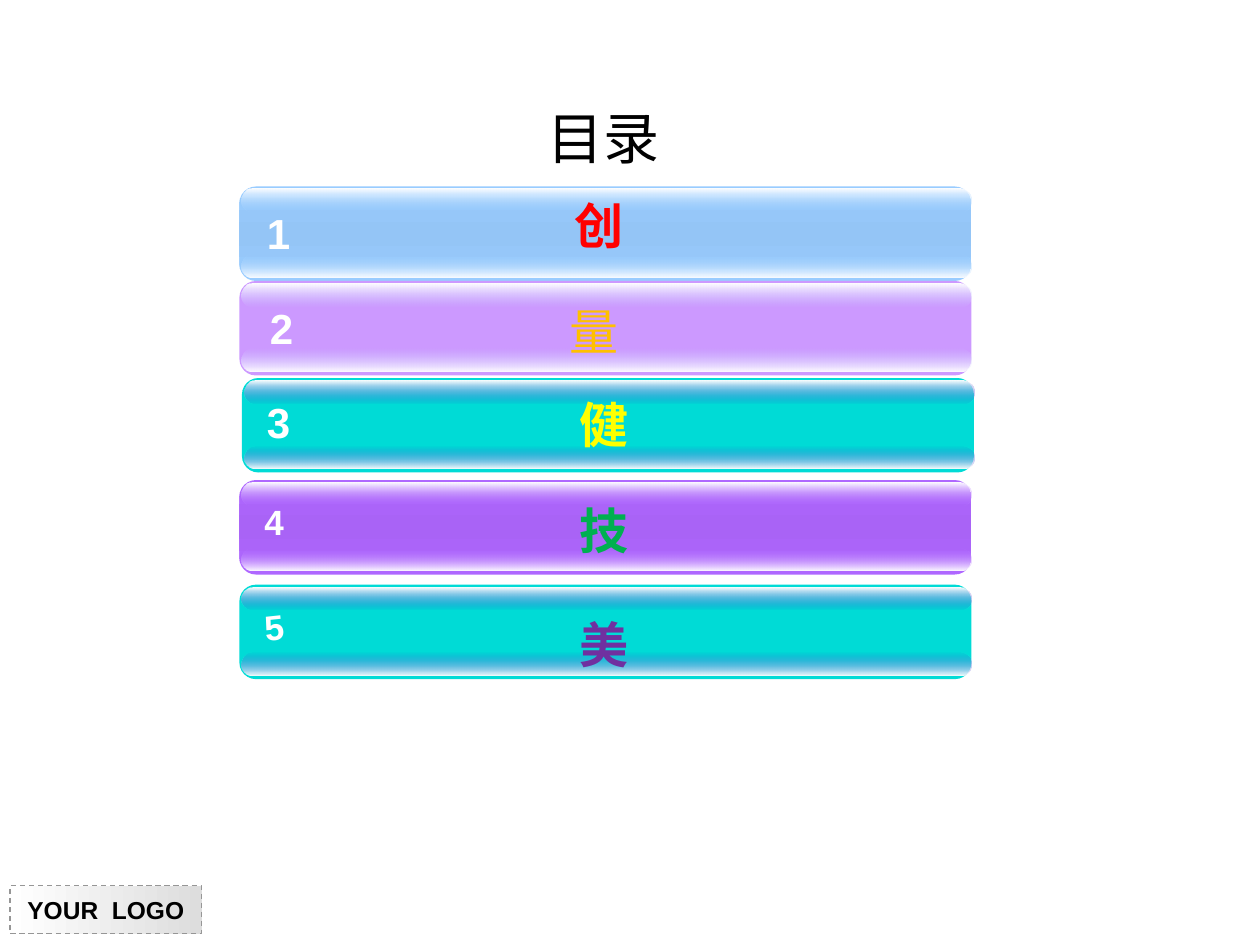
from typing import NamedTuple, Optional

from lxml.etree import SubElement
from pptx import Presentation
from pptx.dml.color import RGBColor
from pptx.enum.dml import MSO_LINE
from pptx.enum.shapes import MSO_SHAPE as Shape
from pptx.enum.text import MSO_ANCHOR as Anchor, PP_ALIGN as Align
from pptx.oxml import parse_xml
from pptx.oxml.ns import nsdecls, qn
from pptx.util import Inches, Pt

LATIN = "Arial"
CHINESE = "Noto Sans CJK SC"

BLACK = RGBColor(0x00, 0x00, 0x00)
WHITE = RGBColor(0xFF, 0xFF, 0xFF)
SILVER = RGBColor(0xDD, 0xDD, 0xDD)
GREY = RGBColor(0x96, 0x96, 0x96)
SKY = RGBColor(0x99, 0xCC, 0xFF)
SKY_MIDDLE = RGBColor(0x94, 0xC5, 0xF6)
LILAC = RGBColor(0xCC, 0x99, 0xFF)
LILAC_GLOSS = RGBColor(0xCC, 0xCC, 0xFF)
TURQUOISE = RGBColor(0x00, 0xDB, 0xD6)
INDIGO = RGBColor(0x33, 0x33, 0xCC)
VIOLET = RGBColor(0xAF, 0x67, 0xFF)
VIOLET_MIDDLE = RGBColor(0xA9, 0x63, 0xF6)
RED = RGBColor(0xFF, 0x00, 0x00)
AMBER = RGBColor(0xFF, 0xC0, 0x00)
YELLOW = RGBColor(0xFF, 0xFF, 0x00)
GREEN = RGBColor(0x00, 0xB0, 0x50)
PURPLE = RGBColor(0x70, 0x30, 0xA0)

BAR_WIDTH, BAR_HEIGHT = 5.81, 0.75
GLOSS_WIDTH, GLOSS_HEIGHT = 5.79, 0.18
GLOSS_INSET, LOWER_GLOSS = 0.02, 0.54


class Area(NamedTuple):
    left: float
    top: float
    width: float
    height: float

    def lengths(self) -> list:
        return [Inches(value) for value in self]


class Stop(NamedTuple):
    position: int
    color: RGBColor
    alpha: int = 100


class Bar(NamedTuple):
    left: float
    top: float
    color: RGBColor
    gloss: RGBColor
    middle: Optional[RGBColor] = None


class Label(NamedTuple):
    text: str
    area: Area
    size: int
    color: RGBColor = WHITE
    font: str = LATIN
    bold: bool = True
    align: Align = Align.LEFT
    anchor: Anchor = Anchor.TOP
    wrap: bool = True
    rotation: int = 0


BARS = [
    Bar(1.9, 1.48, SKY, SKY, SKY_MIDDLE),
    Bar(1.9, 2.23, LILAC, LILAC_GLOSS),
    Bar(1.92, 3, TURQUOISE, INDIGO),
    Bar(1.9, 3.81, VIOLET, VIOLET, VIOLET_MIDDLE),
    Bar(1.9, 4.64, TURQUOISE, INDIGO),
]

LABELS = [
    Label("目录", Area(2.25, 0.75, 5.08, 0.68), 32, BLACK, CHINESE, False,
          Align.CENTER, Anchor.MIDDLE),
    Label("1", Area(2, 1.6, 0.42, 0.5), 24, align=Align.CENTER),
    Label("2", Area(2, 2.35, 0.47, 0.5), 24, align=Align.CENTER),
    Label("3", Area(2, 3.1, 0.42, 0.5), 24, align=Align.CENTER),
    Label("4", Area(2, 3.92, 0.35, 0.43), 20, wrap=False),
    Label("5", Area(2, 4.76, 0.35, 0.43), 20, wrap=False, rotation=354),
    Label("创", Area(2.29, 1.5, 4.92, 0.57), 28, RED, CHINESE, align=Align.CENTER),
    Label("量", Area(2.74, 2.34, 3.95, 0.57), 28, AMBER, CHINESE, False, Align.CENTER),
    Label("健", Area(4.5, 3.08, 0.79, 0.57), 28, YELLOW, CHINESE),
    Label("技", Area(4.5, 3.92, 0.85, 0.57), 28, GREEN, CHINESE),
    Label("美", Area(4.5, 4.83, 1.04, 0.57), 28, PURPLE, CHINESE),
]


def fill_gradient(shape, stops: list[Stop], angle: int) -> None:
    marks = "".join(
        f'<a:gs pos="{stop.position * 1000}"><a:srgbClr val="{stop.color}">'
        f'<a:alpha val="{stop.alpha * 1000}"/></a:srgbClr></a:gs>'
        for stop in stops
    )
    gradient = parse_xml(
        f'<a:gradFill {nsdecls("a")} rotWithShape="1"><a:gsLst>{marks}</a:gsLst>'
        f'<a:lin ang="{angle * 60000}" scaled="0"/></a:gradFill>'
    )
    shape.fill.background()
    properties = shape.element.spPr
    properties.replace(properties.find(qn("a:noFill")), gradient)


def add_rounded(shapes, area: Area, rounding: float):
    shape = shapes.add_shape(Shape.ROUNDED_RECTANGLE, *area.lengths())
    shape.adjustments[0] = rounding
    shape.shadow.inherit = False
    shape.line.fill.background()
    return shape


def add_bar(page, bar: Bar) -> None:
    shapes = page.shapes.add_group_shape().shapes
    body = add_rounded(shapes, Area(bar.left, bar.top, BAR_WIDTH, BAR_HEIGHT), 0.175)
    if bar.middle is None:
        body.fill.solid()
        body.fill.fore_color.rgb = bar.color
    else:
        fill_gradient(body, [Stop(0, bar.color), Stop(50, bar.middle),
                             Stop(100, bar.color)], 90)
    glosses = [
        (LOWER_GLOSS, [Stop(0, bar.gloss, 0), Stop(100, WHITE)]),
        (GLOSS_INSET, [Stop(0, WHITE), Stop(100, bar.gloss, 0)]),
    ]
    for offset, stops in glosses:
        area = Area(bar.left + GLOSS_INSET, bar.top + offset, GLOSS_WIDTH, GLOSS_HEIGHT)
        fill_gradient(add_rounded(shapes, area, 0.5), stops, 90)


def write(box, label: Label) -> None:
    frame = box.text_frame
    frame.word_wrap = label.wrap
    frame.vertical_anchor = label.anchor
    para = frame.paragraphs[0]
    para.alignment = label.align
    span = para.add_run()
    span.text = label.text
    span.font.name = label.font
    span.font.size = Pt(label.size)
    span.font.bold = label.bold
    span.font.color.rgb = label.color
    SubElement(span.font._element, qn("a:ea")).set("typeface", label.font)


def add_label(page, label: Label) -> None:
    box = page.shapes.add_textbox(*label.area.lengths())
    box.rotation = label.rotation
    write(box, label)


def add_logo_holder(page) -> None:
    label = Label("YOUR  LOGO", Area(0.08, 7.03, 1.52, 0.38), 14, BLACK,
                  align=Align.CENTER, anchor=Anchor.MIDDLE, wrap=False)
    holder = page.shapes.add_shape(Shape.RECTANGLE, *label.area.lengths())
    holder.shadow.inherit = False
    fill_gradient(holder, [Stop(0, WHITE), Stop(100, SILVER)], 0)
    holder.line.color.rgb = GREY
    holder.line.width = Pt(0.75)
    holder.line.dash_style = MSO_LINE.DASH
    write(holder, label)


def main() -> None:
    deck = Presentation()
    deck.slide_width, deck.slide_height = Inches(10), Inches(7.5)
    page = deck.slides.add_slide(deck.slide_layouts[6])
    add_logo_holder(page)
    for bar in BARS:
        add_bar(page, bar)
    for label in LABELS:
        add_label(page, label)
    deck.save("out.pptx")


if __name__ == "__main__":
    main()
